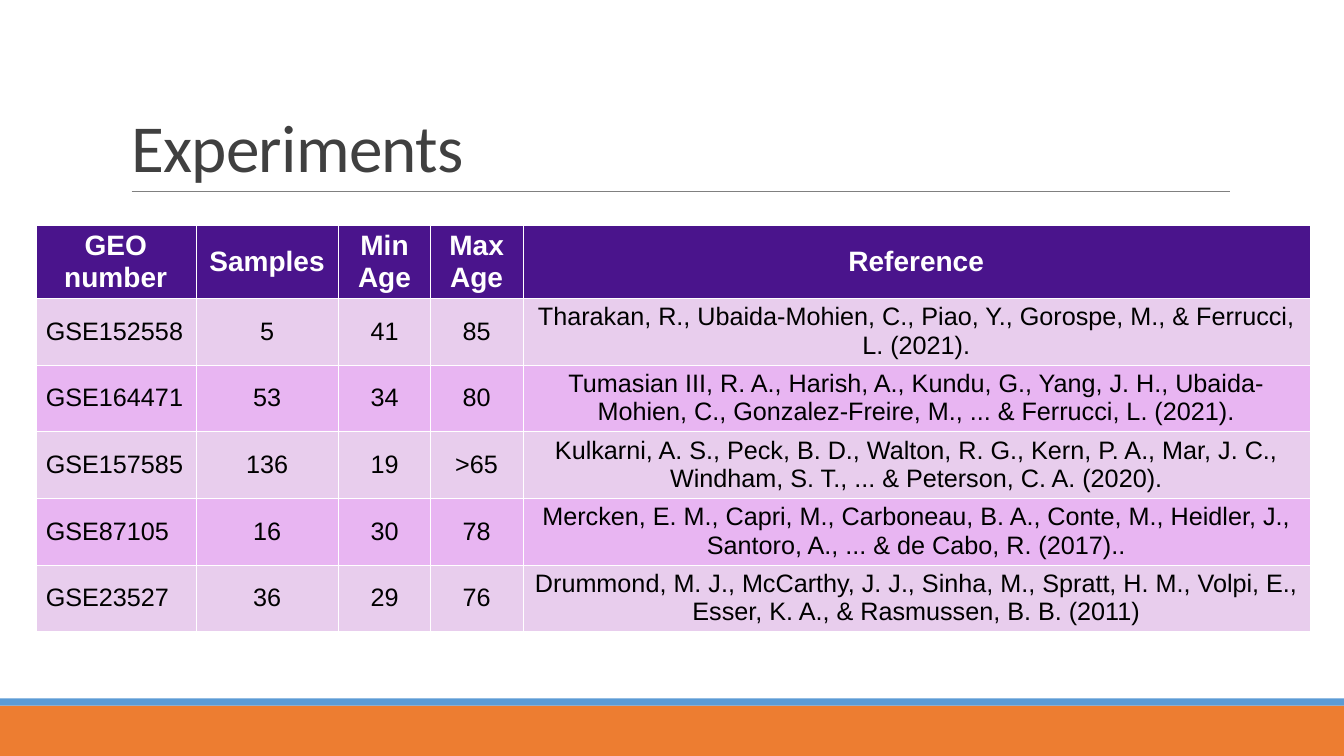
"""Builds the Experiments slide: a title above a table of data sets."""
from lxml import etree
from pptx import Presentation
from pptx.dml.color import RGBColor
from pptx.enum import shapes, text
from pptx.oxml import ns
from pptx.util import Cm, Pt


def paint(fill, colour):
    fill.solid()
    fill.fore_color.rgb = RGBColor.from_string(colour)


def add_borders(cell, colour, width):
    properties = cell._tc.get_or_add_tcPr()
    for side in ("lnL", "lnR", "lnT", "lnB"):
        border = etree.SubElement(properties, ns.qn(f"a:{side}"), w=str(Pt(width)))
        solid = etree.SubElement(border, ns.qn("a:solidFill"))
        etree.SubElement(solid, ns.qn("a:srgbClr"), val=colour)


deck = Presentation()
deck.slide_width, deck.slide_height = Cm(33.87), Cm(19.05)
page = deck.slides.add_slide(deck.slide_layouts[5])

for top, height, colour in [(17.78, 1.27, "ED7D31"), (17.6, 0.18, "5B9BD5")]:
    bar = page.shapes.add_shape(
        shapes.MSO_SHAPE.RECTANGLE, 0, Cm(top), deck.slide_width, Cm(height))
    bar.shadow.inherit = False
    paint(bar.fill, colour)
    bar.line.fill.background()

rule = page.shapes.add_connector(
    shapes.MSO_CONNECTOR.STRAIGHT, Cm(3.32), Cm(4.82), Cm(31), Cm(4.82))
paint(rule.line.fill, "808080")
rule.line.width = Pt(0.5)
etree.SubElement(rule._element.spPr, ns.qn("a:effectLst"))

title = page.shapes.title
title.left, title.top, title.width, title.height = Cm(3.05), Cm(0.79), Cm(27.94), Cm(4.03)
title.text_frame.text = "Experiments"
title.text_frame.auto_size = text.MSO_AUTO_SIZE.NONE
title.text_frame.vertical_anchor = text.MSO_ANCHOR.BOTTOM
heading = title.text_frame.paragraphs[0]
heading.alignment = text.PP_ALIGN.LEFT
heading.line_spacing = 0.85
heading.font.name, heading.font.size = "Calibri", Pt(48)
paint(heading.font.fill, "404040")
heading.runs[0]._r.get_or_add_rPr().set("spc", "-50")

experiments = [
    ("GEO number", "Samples", "Min Age", "Max Age", "Reference"),
    ("GSE152558", "5", "41", "85",
     "Tharakan, R., Ubaida-Mohien, C., Piao, Y., Gorospe, M., & Ferrucci, L. (2021)."),
    ("GSE164471", "53", "34", "80",
     "Tumasian III, R. A., Harish, A., Kundu, G., Yang, J. H., Ubaida-Mohien, C., "
     "Gonzalez-Freire, M., ... & Ferrucci, L. (2021)."),
    ("GSE157585", "136", "19", ">65",
     "Kulkarni, A. S., Peck, B. D., Walton, R. G., Kern, P. A., Mar, J. C., "
     "Windham, S. T., ... & Peterson, C. A. (2020)."),
    ("GSE87105", "16", "30", "78",
     "Mercken, E. M., Capri, M., Carboneau, B. A., Conte, M., Heidler, J., "
     "Santoro, A., ... & de Cabo, R. (2017).."),
    ("GSE23527", "36", "29", "76",
     "Drummond, M. J., McCarthy, J. J., Sinha, M., Spratt, H. M., Volpi, E., "
     "Esser, K. A., & Rasmussen, B. B. (2011)"),
]
widths = [4.03, 3.6, 2.32, 2.32, 19.84]
table = page.shapes.add_table(
    len(experiments), len(widths), Cm(0.9), Cm(5.68), Cm(sum(widths)), Cm(10.2)).table
for column, width in zip(table.columns, widths):
    column.width = Cm(width)

for row_index, values in enumerate(experiments):
    is_header = row_index == 0
    table.rows[row_index].height = Cm(1.8 if is_header else 1.68)
    shade = "4A148C" if is_header else ("E8B5F2", "E8CDED")[row_index % 2]
    for column_index, value in enumerate(values):
        cell = table.cell(row_index, column_index)
        cell.text = value
        cell.vertical_anchor = text.MSO_ANCHOR.MIDDLE
        add_borders(cell, "FFFFFF", 0.06)
        paint(cell.fill, shade)
        para = cell.text_frame.paragraphs[0]
        is_name = column_index == 0 and not is_header
        para.alignment = text.PP_ALIGN.LEFT if is_name else text.PP_ALIGN.CENTER
        para.font.name = "Arial"
        para.font.size = Pt(20 if is_header else 18)
        para.font.bold = is_header
        paint(para.font.fill, "FFFFFF" if is_header else "000000")

deck.save("out.pptx")
